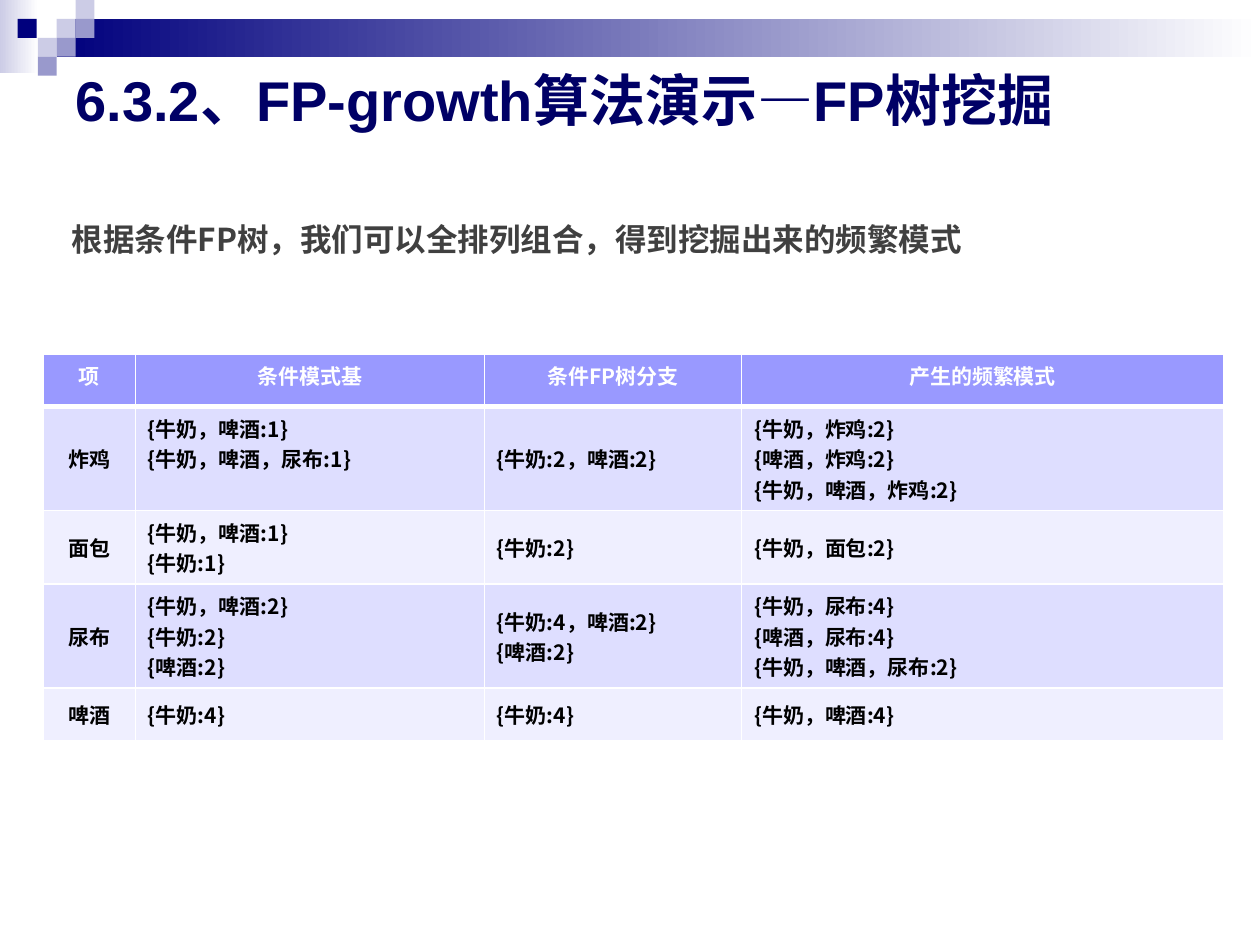
from pptx import Presentation
from pptx.dml.color import RGBColor
from pptx.enum.shapes import MSO_SHAPE
from pptx.enum.text import MSO_ANCHOR, PP_ALIGN
from pptx.oxml import parse_xml
from pptx.oxml.ns import nsdecls
from pptx.util import Pt

HUES = {
    "navy": "00007D", "pale": "CCCCE6", "mid": "9999CC", "white": "FFFFFF",
    "title": "000066", "note": "404040", "black": "000000",
    "head": "9999FF", "odd": "DEDEFF", "even": "EFEFFF",
}
SANS = "Noto Sans CJK SC"

# Corner tiles: left, top, colour
TILES = [
    (32.4, 10.8, "pale"), (43.2, 0, "pale"), (43.2, 10.8, "mid"),
    (21.6, 21.6, "pale"), (10.1, 10.8, "navy"), (32.4, 21.6, "mid"),
    (21.6, 32.4, "mid"),
]

COLS = [52.5, 199.5, 147, 275.5]
ROWS = [30, 59, 42, 59, 30]
CELLS = [
    ["项", "条件模式基", "条件FP树分支", "产生的频繁模式"],
    ["炸鸡", "{牛奶，啤酒:1}\n{牛奶，啤酒，尿布:1}", "{牛奶:2，啤酒:2}",
     "{牛奶，炸鸡:2}\n{啤酒，炸鸡:2}\n{牛奶，啤酒，炸鸡:2}"],
    ["面包", "{牛奶，啤酒:1}\n{牛奶:1}", "{牛奶:2}", "{牛奶，面包:2}"],
    ["尿布", "{牛奶，啤酒:2}\n{牛奶:2}\n{啤酒:2}",
     "{牛奶:4，啤酒:2}\n{啤酒:2}",
     "{牛奶，尿布:4}\n{啤酒，尿布:4}\n{牛奶，啤酒，尿布:2}"],
    ["啤酒", "{牛奶:4}", "{牛奶:4}", "{牛奶，啤酒:4}"],
]


def tint(name):
    return RGBColor.from_string(HUES[name])


def add_run(para, text, size, hue, face=SANS):
    run = para.add_run()
    run.text = text
    font = run.font
    font.size, font.bold, font.name = Pt(size), True, face
    font.color.rgb = tint(hue)
    # East Asian glyphs need their own font entry
    run._r.get_or_add_rPr().find("{*}latin").addnext(
        parse_xml(f'<a:ea {nsdecls("a")} typeface="{SANS}"/>'))


def add_box(slide, left, top, width, height, hue, fade=False):
    box = slide.shapes.add_shape(
        MSO_SHAPE.RECTANGLE, Pt(left), Pt(top), Pt(width), Pt(height))
    box.shadow.inherit = False
    box.line.fill.background()
    if fade:
        box.fill.gradient()
        box.fill.gradient_angle = 0
        for stop, name, spot in zip(box.fill.gradient_stops, (hue, "white"), (0, 1)):
            stop.color.rgb = tint(name)
            stop.position = spot
    else:
        box.fill.solid()
        box.fill.fore_color.rgb = tint(hue)


def add_text(slide, left, top, width, height, text, size, hue,
             face=SANS, anchor=MSO_ANCHOR.TOP, space=None):
    frame = slide.shapes.add_textbox(
        Pt(left), Pt(top), Pt(width), Pt(height)).text_frame
    frame.word_wrap = True
    frame.vertical_anchor = anchor
    para = frame.paragraphs[0]
    para.line_spacing = space
    add_run(para, text, size, hue, face)


def set_edge(cell, side, width):
    # Borders come before the fill in the cell properties
    edge = parse_xml(
        f'<a:{side} {nsdecls("a")} w="{Pt(width)}"><a:solidFill>'
        f'<a:srgbClr val="{HUES["white"]}"/></a:solidFill></a:{side}>')
    cell._tc.get_or_add_tcPr().append(edge)


def fill_cell(cell, text, row, col):
    edges = {"lnL": 1, "lnR": 1, "lnT": 3 if row == 1 else 1,
             "lnB": 3 if row == 0 else 1}
    for side, width in edges.items():
        set_edge(cell, side, width)
    cell.fill.solid()
    cell.fill.fore_color.rgb = tint(
        "head" if row == 0 else "odd" if row % 2 else "even")
    high = row == 0 or (col == 1 and row < 4)
    cell.vertical_anchor = MSO_ANCHOR.TOP if high else MSO_ANCHOR.MIDDLE
    frame = cell.text_frame
    for num, line in enumerate(text.split("\n")):
        para = frame.add_paragraph() if num else frame.paragraphs[0]
        if row == 0 or col == 0:
            para.alignment = PP_ALIGN.CENTER
        add_run(para, line, 12, "black" if row else "white")


def add_grid(slide, left, top):
    grid = slide.shapes.add_table(
        len(ROWS), len(COLS), Pt(left), Pt(top),
        Pt(sum(COLS)), Pt(sum(ROWS))).table
    for col, width in zip(grid.columns, COLS):
        col.width = Pt(width)
    for row, height in zip(grid.rows, ROWS):
        row.height = Pt(height)
    for row, texts in enumerate(CELLS):
        for col, text in enumerate(texts):
            fill_cell(grid.cell(row, col), text, row, col)


def main():
    deck = Presentation()
    deck.slide_width, deck.slide_height = Pt(720), Pt(540)
    slide = deck.slides.add_slide(deck.slide_layouts[6])

    # Top band with corner tiles
    add_box(slide, 0, 0, 22, 42, "pale", fade=True)
    add_box(slide, 32.4, 10.8, 687.6, 21.6, "navy", fade=True)
    for left, top, hue in TILES:
        add_box(slide, left, top, 10.8, 10.8, hue)

    # Table of mined patterns
    add_grid(slide, 24.8, 202.3)

    # Lead sentence and title
    add_text(slide, 34, 126, 523.5, 29,
             "根据条件FP树，我们可以全排列组合，得到挖掘出来的频繁模式",
             18, "note", space=0.83)
    add_text(slide, 36, 36, 648, 41, "6.3.2、FP-growth算法演示—FP树挖掘",
             32, "title", face="Arial", anchor=MSO_ANCHOR.MIDDLE)

    deck.save("out.pptx")


if __name__ == "__main__":
    main()
